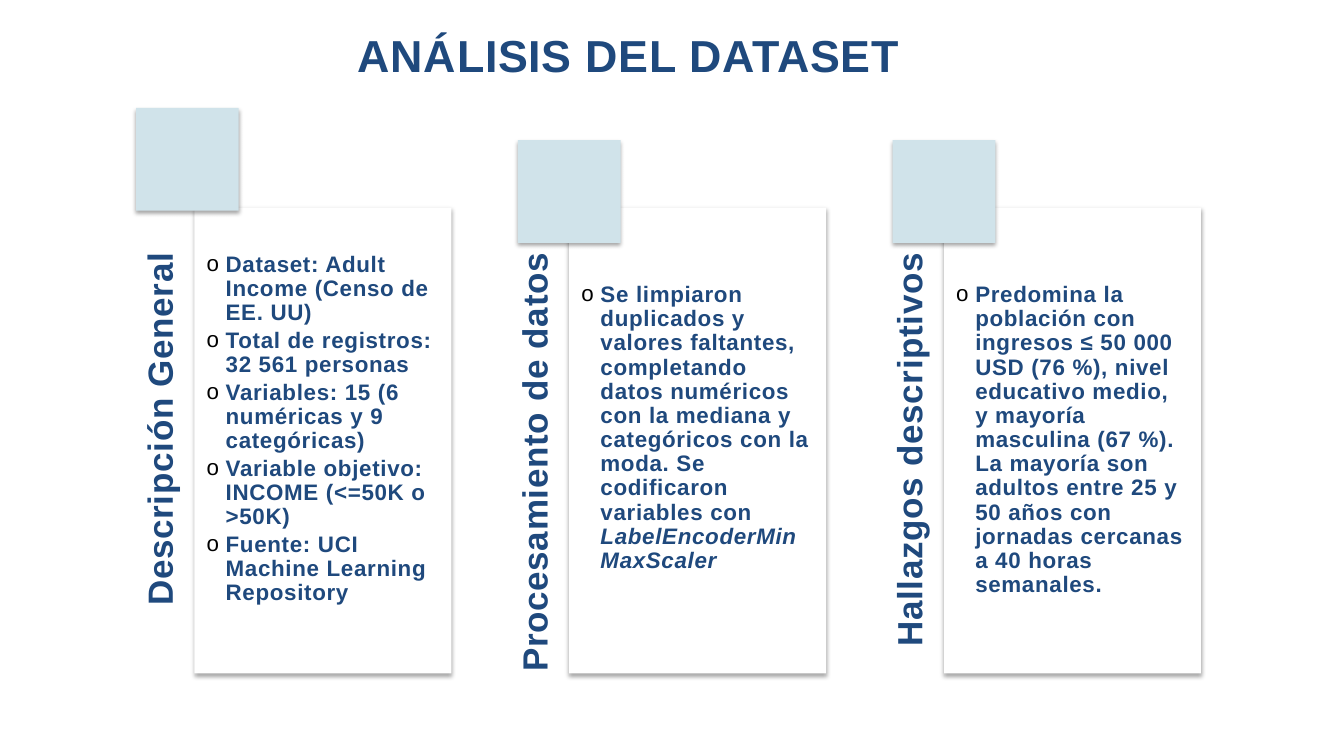
from lxml import etree
from pptx import Presentation
from pptx.dml.color import RGBColor
from pptx.enum.shapes import MSO_SHAPE as Shape
from pptx.enum.text import MSO_ANCHOR as Anchor, MSO_AUTO_SIZE as AutoSize, PP_ALIGN as Align
from pptx.oxml.ns import qn
from pptx.util import Pt

PX = 9144  # 100 px to the inch
COLORS = {"navy": "1F497D", "ice": "D0E3EA", "white": "FFFFFF", "black": "000000"}
FONT = "Arial"

CARD_TOP, CARD_W, CARD_H = 206, 255, 462
CARD_LEFT, CARD_STEP = 193, 372
TILE = 102
LABEL_H, LABEL_SHIFT = 51, 26  # label centre lies left of the card

# heading, tile offset from the card, top inset, items (each a list of text and italic flag)
COLUMNS = [
    ("Descripción General", (-58, -99), 45, [
        [("Dataset: Adult Income (Censo de EE. UU)", False)],
        [("Total de registros: 32 561 personas", False)],
        [("Variables: 15 (6 numéricas y 9 categóricas)", False)],
        [("Variable objetivo: INCOME (<=50K o >50K)", False)],
        [("Fuente: UCI Machine Learning Repository", False)],
    ]),
    ("Procesamiento de datos", (-51, -67), 75, [
        [("Se limpiaron duplicados y valores faltantes, completando datos numéricos "
          "con la mediana y categóricos con la moda. Se codificaron variables con ", False),
         ("LabelEncoderMinMaxScaler", True)],
    ]),
    ("Hallazgos descriptivos", (-51, -67), 75, [
        [("Predomina la población con ingresos ≤ 50 000 USD (76 %), nivel educativo "
          "medio, y mayoría masculina (67 %).\vLa mayoría son adultos entre 25 y 50 años "
          "con jornadas cercanas a 40 horas semanales.", False)],
    ]),
]


def place(shape, left, top, width, height):
    shape.left, shape.top = round(left * PX), round(top * PX)
    shape.width, shape.height = round(width * PX), round(height * PX)


def set_frame(frame, left, top, right, bottom, anchor):
    frame.word_wrap = True
    frame.auto_size = AutoSize.NONE
    frame.vertical_anchor = anchor
    frame.margin_left, frame.margin_top = left * PX, top * PX
    frame.margin_right, frame.margin_bottom = right * PX, bottom * PX


def style_run(run, size, italic=False):
    run.font.name, run.font.size = FONT, Pt(size)
    run.font.bold, run.font.italic = True, italic
    run.font.color.rgb = RGBColor.from_string(COLORS["navy"])
    run.font._element.set("spc", "50")


def style_panel(shape, color):
    """Plain fill, no outline, soft shadow below."""
    shape.fill.solid()
    shape.fill.fore_color.rgb = RGBColor.from_string(COLORS[color])
    shape.line.fill.background()
    shape.shadow.inherit = False
    effects = shape._element.spPr.find(qn("a:effectLst"))
    shadow = etree.SubElement(effects, qn("a:outerShdw"), blurRad=str(Pt(3.1)),
                              dist=str(Pt(1.8)), dir="5400000", rotWithShape="0")
    tint = etree.SubElement(shadow, qn("a:srgbClr"), val=COLORS["black"])
    etree.SubElement(tint, qn("a:alpha"), val="35000")


def add_bullet(paragraph):
    props = paragraph._p.get_or_add_pPr()
    props.set("marL", str(19 * PX))
    props.set("indent", str(-19 * PX))
    tint = etree.SubElement(props, qn("a:buClr"))
    etree.SubElement(tint, qn("a:srgbClr"), val=COLORS["black"])
    etree.SubElement(props, qn("a:buFont"), typeface=FONT)
    etree.SubElement(props, qn("a:buChar"), char="o")


def fill_title(title, left, top, width, height):
    place(title, left, top, width, height)
    set_frame(title.text_frame, 10, 5, 10, 5, Anchor.MIDDLE)
    title.text_frame.text = "ANÁLISIS DEL DATASET"
    heading = title.text_frame.paragraphs[0]
    heading.alignment = Align.CENTER
    style_run(heading.runs[0], 32)


def fill_card(card, items, inset, left, top, width, height):
    place(card, left, top, width, height)
    style_panel(card, "white")
    frame = card.text_frame
    set_frame(frame, 12, inset, 12, 12, Anchor.TOP)
    for number, parts in enumerate(items):
        item = frame.add_paragraph() if number else frame.paragraphs[0]
        item.alignment = Align.LEFT
        item.line_spacing = 0.9
        item.space_before, item.space_after = Pt(0), Pt(2.5)
        add_bullet(item)
        item.text = parts[0][0]
        for words, _ in parts[1:]:
            item.add_run().text = words
        for run, (_, italic) in zip(item.runs, parts):
            style_run(run, 16, italic)
        for run in item.runs[len(parts):]:  # text after a line break
            style_run(run, 16)


def add_label(slide, words, left, top, height):
    """Heading that reads upwards beside the card."""
    label = slide.shapes.add_textbox(0, 0, 0, 0)
    place(label, left - LABEL_SHIFT - height / 2, top + (height - LABEL_H) / 2, height, LABEL_H)
    label.rotation = 270
    set_frame(label.text_frame, 0, 0, 45, 0, Anchor.TOP)
    label.text_frame.text = words
    line = label.text_frame.paragraphs[0]
    line.alignment, line.line_spacing = Align.RIGHT, 0.9
    style_run(line.runs[0], 25)


def add_column(slide, card, column, left, top, width, height):
    heading, (tile_x, tile_y), inset, items = column
    add_label(slide, heading, left, top, height)
    fill_card(card, items, inset, left, top, width, height)
    tile = slide.shapes.add_shape(Shape.RECTANGLE, 0, 0, 0, 0)
    place(tile, left + tile_x, top + tile_y, TILE, TILE)
    style_panel(tile, "ice")


def main():
    deck = Presentation()
    deck.slide_width, deck.slide_height = 1334 * PX, 750 * PX
    slide = deck.slides.add_slide(deck.slide_layouts[4])
    title, *cards, spare = list(slide.placeholders)
    spare._element.getparent().remove(spare._element)

    fill_title(title, 237, 22, 774, 64)
    for number, (card, column) in enumerate(zip(cards, COLUMNS)):
        add_column(slide, card, column, CARD_LEFT + number * CARD_STEP, CARD_TOP, CARD_W, CARD_H)
    deck.save("out.pptx")


if __name__ == "__main__":
    main()
